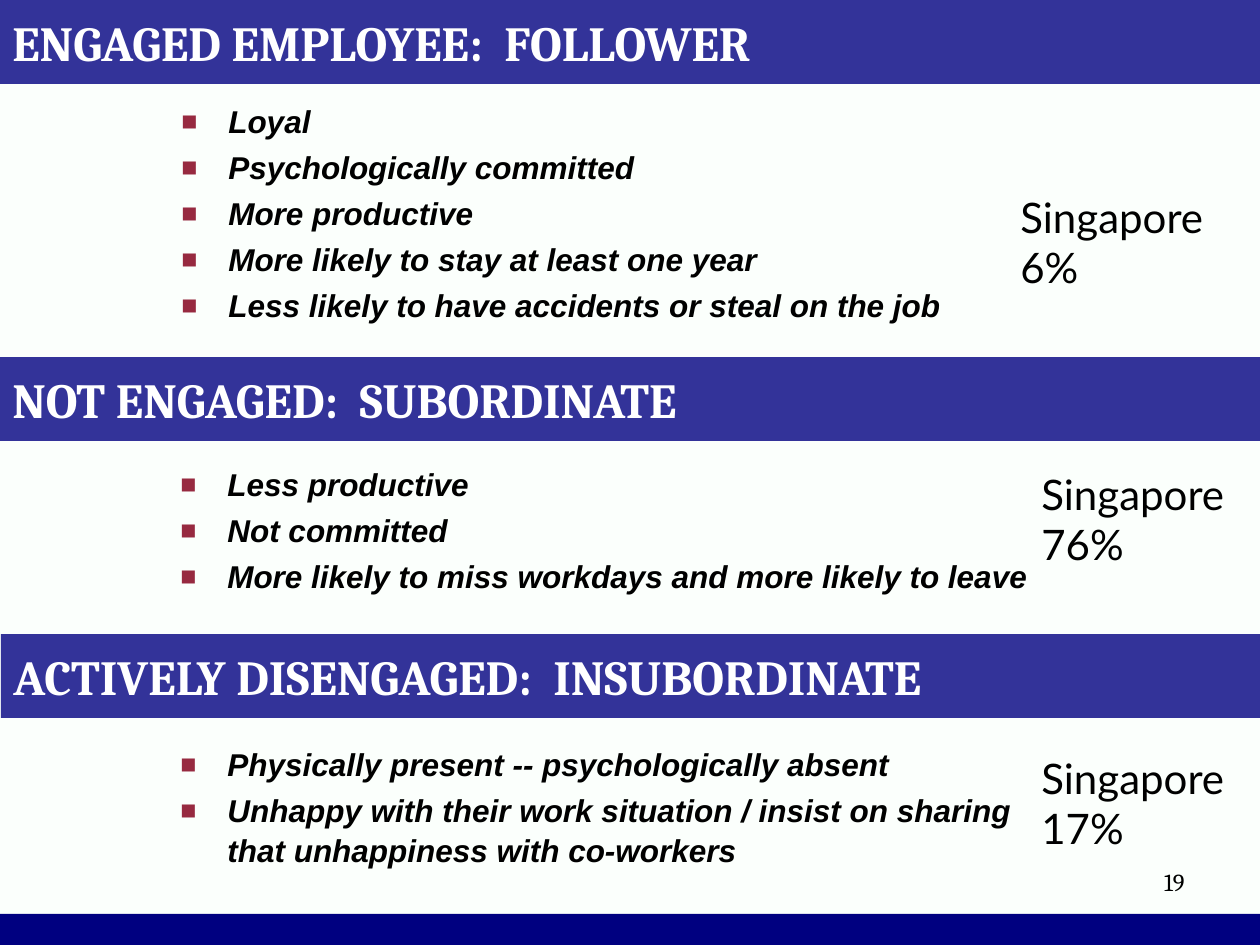
from dataclasses import dataclass

from lxml.etree import SubElement
from pptx import Presentation
from pptx.dml.color import RGBColor
from pptx.enum.shapes import MSO_SHAPE
from pptx.enum.text import MSO_ANCHOR, PP_ALIGN
from pptx.oxml.ns import qn
from pptx.util import Emu, Pt

PX = 914400 / 126
PAGE_WIDTH, PAGE_HEIGHT = 1260, 945
BANNER_HEIGHT = 84
FOOTER_HEIGHT = 31
SHARE_SIZE = (212, 115)


@dataclass(frozen=True)
class Theme:
    background: str = "FBFFFC"
    banner: str = "333399"
    footer: str = "000080"
    bullet: str = "972A40"
    light: str = "FFFFFF"
    dark: str = "000000"
    heading_font: str = "Cambria"
    body_font: str = "Arial"
    share_font: str = "Lato"
    heading_size: int = 28
    share_size: int = 24
    body_size: int = 18
    number_size: int = 14


THEME = Theme()

# Boxes are left, top, width, height in px.
SECTIONS = [
    {
        "heading": "ENGAGED EMPLOYEE:  FOLLOWER",
        "banner_at": (0, 0),
        "points": [
            "Loyal",
            "Psychologically committed",
            "More productive",
            "More likely to stay at least one year",
            "Less likely to have accidents or steal on the job",
        ],
        "points_box": (169, 94, 818, 233),
        "share": ["Singapore", "6%"],
        "share_at": (1008, 185),
    },
    {
        "heading": "NOT ENGAGED:  SUBORDINATE",
        "banner_at": (0, 357),
        "points": [
            "Less productive",
            "Not committed",
            "More likely to miss workdays and more likely to leave",
        ],
        "points_box": (168, 457, 882, 141),
        "share": ["Singapore", "76%"],
        "share_at": (1029, 462),
    },
    {
        "heading": "ACTIVELY DISENGAGED:  INSUBORDINATE",
        "banner_at": (1, 634),
        "points": [
            "Physically present -- psychologically absent",
            "Unhappy with their work situation / insist on sharing "
            "that unhappiness with co-workers",
        ],
        "points_box": (168, 737, 914, 134),
        "share": ["Singapore", "17%"],
        "share_at": (1029, 746),
    },
]
PAGE_NUMBER = "19"
PAGE_NUMBER_BOX = (1050, 861, 147, 66)


def px(length):
    return Emu(round(length * PX))


def color(code):
    return RGBColor.from_string(code)


def add_bar(page, box, fill):
    bar = page.shapes.add_shape(MSO_SHAPE.RECTANGLE, *map(px, box))
    bar.shadow.inherit = False
    bar.fill.solid()
    bar.fill.fore_color.rgb = color(fill)
    bar.line.fill.background()
    return bar


def add_bullet(para):
    properties = para._p.get_or_add_pPr()
    properties.set("marL", str(px(47)))
    properties.set("indent", str(-px(47)))
    bullet_color = SubElement(properties, qn("a:buClr"))
    SubElement(bullet_color, qn("a:srgbClr"), val=THEME.bullet)
    SubElement(properties, qn("a:buSzPct"), val="85000")
    SubElement(properties, qn("a:buFont"), typeface=THEME.body_font)
    SubElement(properties, qn("a:buChar"), char="■")


def write(shape, lines, *, font, size, ink=THEME.dark, bold=False, italic=False,
          align=PP_ALIGN.LEFT, anchor=MSO_ANCHOR.TOP, wrap=True, bullets=False):
    frame = shape.text_frame
    frame.word_wrap = wrap
    frame.vertical_anchor = anchor
    for index, line in enumerate(lines):
        para = frame.paragraphs[0] if index == 0 else frame.add_paragraph()
        para.alignment = align
        if bullets:
            add_bullet(para)
            para.line_spacing = 1.05
            if index:
                para.space_before = Pt(size * 0.2)
        span = para.add_run()
        span.text = line
        span.font.name = font
        span.font.size = Pt(size)
        span.font.bold = bold
        span.font.italic = italic
        span.font.color.rgb = color(ink)


def add_text(page, box, lines, **text_format):
    write(page.shapes.add_textbox(*map(px, box)), lines, **text_format)


def add_section(page, section):
    banner = add_bar(page, (*section["banner_at"], PAGE_WIDTH, BANNER_HEIGHT), THEME.banner)
    write(banner, [section["heading"]], font=THEME.heading_font, size=THEME.heading_size,
          ink=THEME.light, bold=True, anchor=MSO_ANCHOR.MIDDLE)
    add_text(page, section["points_box"], section["points"], font=THEME.body_font,
             size=THEME.body_size, bold=True, italic=True, bullets=True)
    add_text(page, (*section["share_at"], *SHARE_SIZE), section["share"],
             font=THEME.share_font, size=THEME.share_size, wrap=False)


def main():
    deck = Presentation()
    deck.slide_width, deck.slide_height = px(PAGE_WIDTH), px(PAGE_HEIGHT)
    page = deck.slides.add_slide(deck.slide_layouts[6])
    page.background.fill.solid()
    page.background.fill.fore_color.rgb = color(THEME.background)

    add_bar(page, (0, PAGE_HEIGHT - FOOTER_HEIGHT, PAGE_WIDTH, FOOTER_HEIGHT), THEME.footer)
    for section in SECTIONS:
        add_section(page, section)
    add_text(page, PAGE_NUMBER_BOX, [PAGE_NUMBER], font=THEME.heading_font,
             size=THEME.number_size, align=PP_ALIGN.RIGHT)
    deck.save("out.pptx")


if __name__ == "__main__":
    main()
